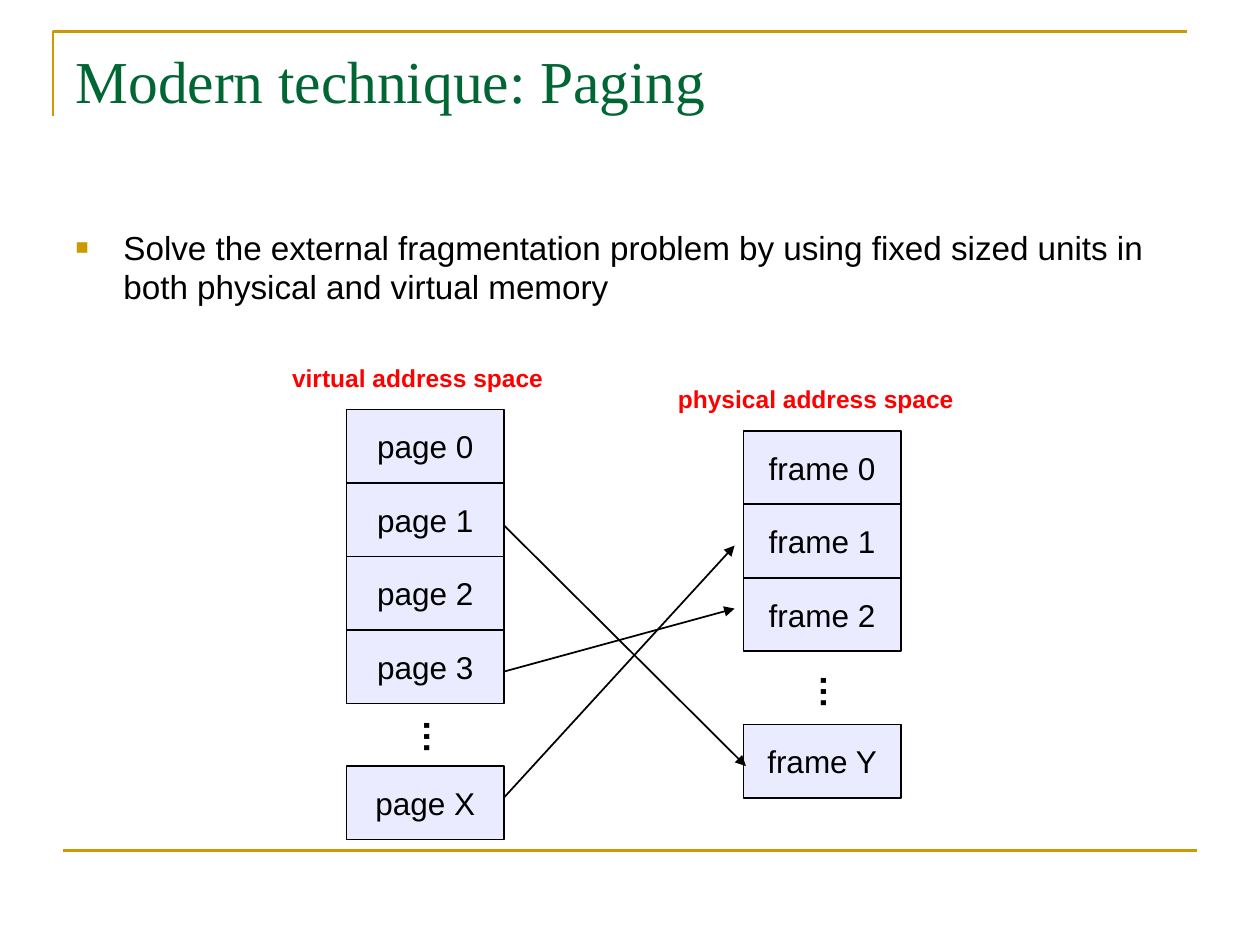
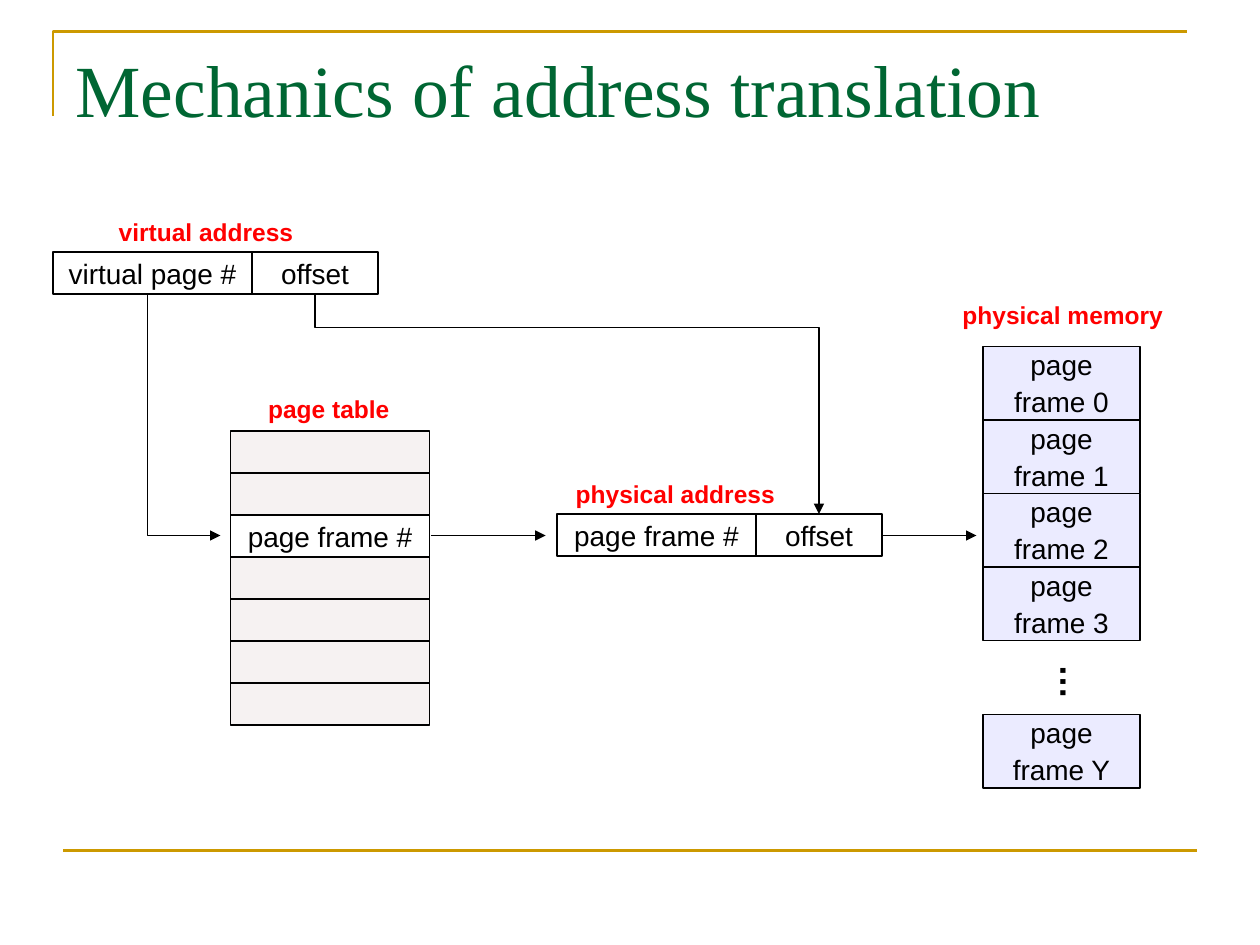
import pptx
import pptx.util
import pptx.dml.color
import pptx.enum.shapes
import pptx.enum.text
import pptx.oxml.ns
from lxml import etree

Inches = pptx.util.Inches
Pt = pptx.util.Pt
qn = pptx.oxml.ns.qn
RGBColor = pptx.dml.color.RGBColor
COLORS = {
    "gold": "CC9900",
    "green": "006633",
    "black": "000000",
    "red": "FF0000",
    "lavender": "EBEBFF",
    "gray": "F6F2F2",
    "white": "FFFFFF",
}


def write(frame, text, size=16, color="black", font="Arial", bold=False,
          align="CENTER", anchor="TOP", wrap=False, grow=False, gap=2):
    fit = pptx.enum.text.MSO_AUTO_SIZE
    frame.auto_size = fit.SHAPE_TO_FIT_TEXT if grow else fit.NONE
    frame.word_wrap = wrap
    frame.vertical_anchor = getattr(pptx.enum.text.MSO_ANCHOR, anchor)
    for index, line in enumerate(text.split("\n")):
        para = frame.add_paragraph() if index else frame.paragraphs[0]
        para.alignment = getattr(pptx.enum.text.PP_ALIGN, align)
        para.space_before = Pt(gap if index else 0)
        span = para.add_run()
        span.text = line
        span.font.name = font
        span.font.size = Pt(size)
        span.font.bold = bold
        span.font.color.rgb = RGBColor.from_string(COLORS[color])


def draw_line(page, points, color="black", width=1, arrow=True):
    corners = [(Inches(x), Inches(y)) for x, y in points]
    if len(corners) == 2:
        straight = pptx.enum.shapes.MSO_CONNECTOR.STRAIGHT
        line = page.shapes.add_connector(straight, *corners[0], *corners[1])
    else:
        builder = page.shapes.build_freeform(*corners[0], scale=1.0)
        builder.add_line_segments(corners[1:], close=False)
        line = builder.convert_to_shape()
        line.fill.background()
    line.line.color.rgb = RGBColor.from_string(COLORS[color])
    line.line.width = Pt(width)
    properties = line.element.spPr
    if arrow:
        outline = properties.find(qn("a:ln"))
        etree.SubElement(outline, qn("a:tailEnd"), type="triangle")
    etree.SubElement(properties, qn("a:effectLst"))
    return line


deck = pptx.Presentation()
deck.slide_width = Inches(10)
deck.slide_height = Inches(7.5)
paging = deck.slides.add_slide(deck.slide_layouts[1])
translation = deck.slides.add_slide(deck.slide_layouts[5])

frame_lines = [
    [(0.42, 0.92), (0.42, 0.25), (9.42, 0.25)],
    [(0.5, 6.75), (9.5, 6.75)],
]
for number, points in enumerate(frame_lines, start=20):
    line = draw_line(paging, points, "gold", 1.5, arrow=False)
    line.element[0][0].set("id", str(number))
    deck.slide_master.shapes.element.append(line.element)

titles = [
    (paging, "Modern technique: Paging", 34),
    (translation, "Mechanics of address translation", 42),
]
for page, text, size in titles:
    title = page.shapes.title
    title.left, title.top = Inches(0.5), Inches(0.3)
    title.width, title.height = Inches(9), Inches(1.25)
    write(title.text_frame, text, size=size, color="green",
          font="Times New Roman", align="LEFT", wrap=True)

body = paging.placeholders[1]
body.left, body.top = Inches(0.5), Inches(1.75)
body.width, body.height = Inches(9), Inches(4.95)
write(body.text_frame,
      "Solve the external fragmentation problem by using fixed sized units "
      "in both physical and virtual memory",
      size=19, align="LEFT", wrap=True)
para_format = body.text_frame.paragraphs[0]._p.get_or_add_pPr()
para_format.set("marL", str(Inches(0.38)))
para_format.set("indent", str(Inches(-0.38)))
bullet_color = etree.SubElement(para_format, qn("a:buClr"))
etree.SubElement(bullet_color, qn("a:srgbClr"), val=COLORS["gold"])
etree.SubElement(para_format, qn("a:buSzPct"), val="65000")
etree.SubElement(para_format, qn("a:buChar"), char="■")

memory_width, memory_height = 1.25, 1.75 / 3
field_width, offset_width, field_height = 1.58, 1, 1 / 3
boxes = []
memory_columns = [
    (paging, 2.75, 3.25, 18, "page ", 4, "X", 6.08),
    (paging, 5.9, 3.42, 18, "frame ", 3, "Y", 5.75),
    (translation, 7.8, 2.75, 16, "page\nframe ", 4, "Y", 5.67),
]
for page, left, top, size, prefix, count, last, last_top in memory_columns:
    cells = [(str(row), top + row * memory_height) for row in range(count)]
    for suffix, cell_top in cells + [(last, last_top)]:
        boxes.append((page, prefix + suffix, left, cell_top, memory_width,
                      memory_height, "lavender", size))

for text, left, top in [("virtual page #", 0.42, 2), ("page frame #", 4.42, 4.08)]:
    boxes.append((translation, text, left, top, field_width, field_height, None, 16))
    boxes.append((translation, "offset", left + field_width, top,
                  offset_width, field_height, None, 16))

for row in range(7):
    text, fill = ("page frame #", "white") if row == 2 else ("", "gray")
    boxes.append((translation, text, 1.83, 3.42 + row * field_height,
                  field_width, field_height, fill, 16))

for page, text, left, top, width, height, fill, size in boxes:
    box = page.shapes.add_shape(
        pptx.enum.shapes.MSO_SHAPE.RECTANGLE,
        Inches(left), Inches(top), Inches(width), Inches(height))
    box.shadow.inherit = False
    if fill:
        box.fill.solid()
        box.fill.fore_color.rgb = RGBColor.from_string(COLORS[fill])
    else:
        box.fill.background()
    box.line.color.rgb = RGBColor.from_string(COLORS["black"])
    box.line.width = Pt(1)
    if text:
        write(box.text_frame, text, size=size, anchor="MIDDLE")

labels = [
    (paging, "virtual address space", 2.16, 2.83, 2.31),
    (paging, "physical address space", 5.23, 3, 2.49),
    (translation, "virtual address", 0.79, 1.67, 1.69),
    (translation, "page table", 1.97, 3.08, 1.28),
    (translation, "physical address", 4.42, 3.75, 1.88),
    (translation, "physical memory", 7.49, 2.33, 1.89),
]
for page, text, left, top, width in labels:
    label = page.shapes.add_textbox(
        Inches(left), Inches(top), Inches(width), Inches(0.34))
    write(label.text_frame, text, size=14, color="red", bold=True)

ellipses = [(paging, 3.06, 5.63), (paging, 6.21, 5.27), (translation, 8.11, 5.19)]
for page, left, top in ellipses:
    ellipsis = page.shapes.add_textbox(
        Inches(left), Inches(top), Inches(0.48), Inches(0.44))
    ellipsis.rotation = 270
    write(ellipsis.text_frame, "…", size=20, bold=True, grow=True)

arrows = [
    (paging, [(4, 5.33), (5.83, 4.83)]),
    (paging, [(4, 4.17), (5.92, 6.08)]),
    (paging, [(4, 6.33), (5.83, 4.33)]),
    (translation, [(1.17, 2.33), (1.17, 4.25), (1.75, 4.25)]),
    (translation, [(2.5, 2.33), (2.5, 2.6), (6.5, 2.6), (6.5, 4.08)]),
    (translation, [(3.42, 4.25), (4.33, 4.25)]),
    (translation, [(7, 4.25), (7.75, 4.25)]),
]
for page, points in arrows:
    draw_line(page, points)

deck.save("out.pptx")
